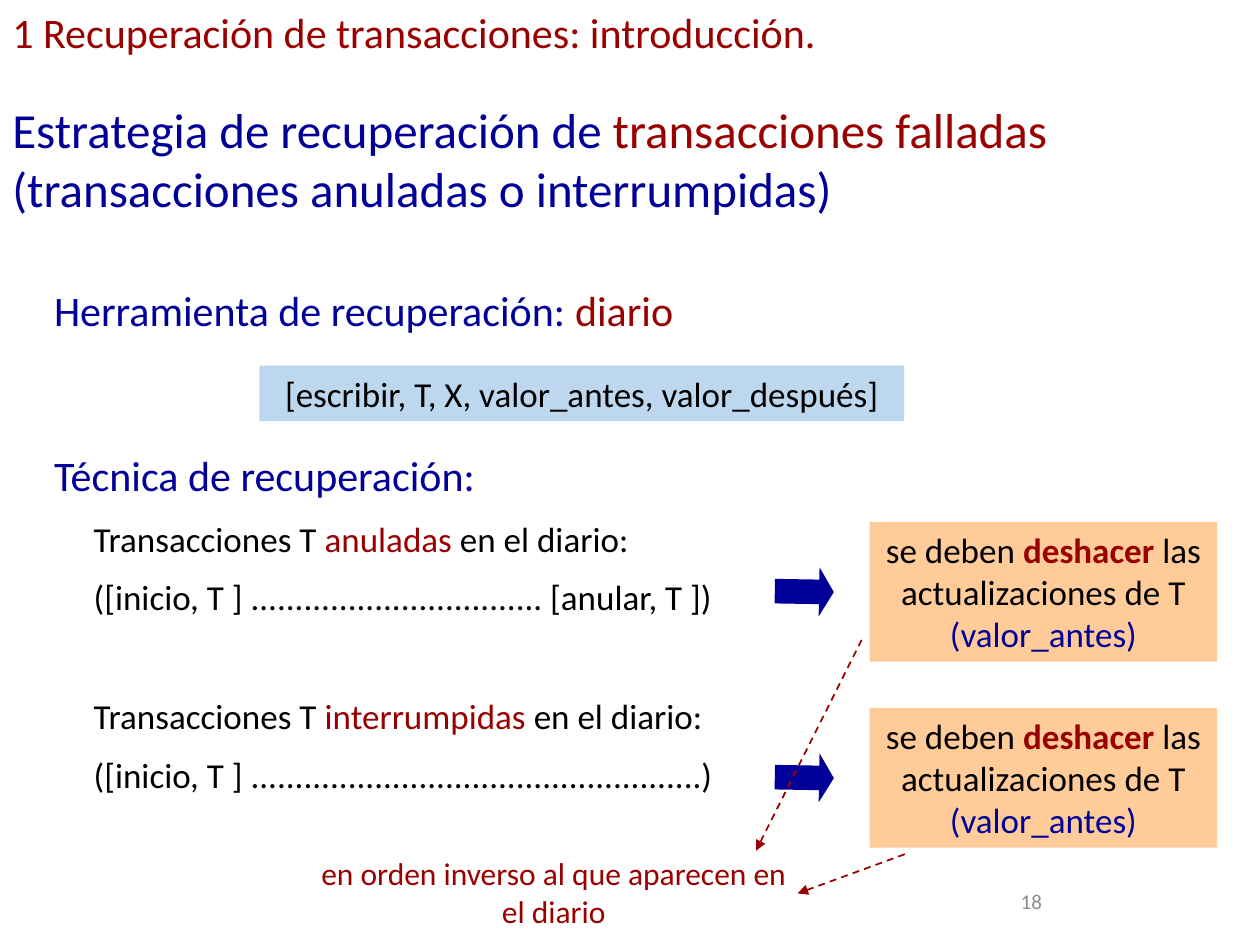
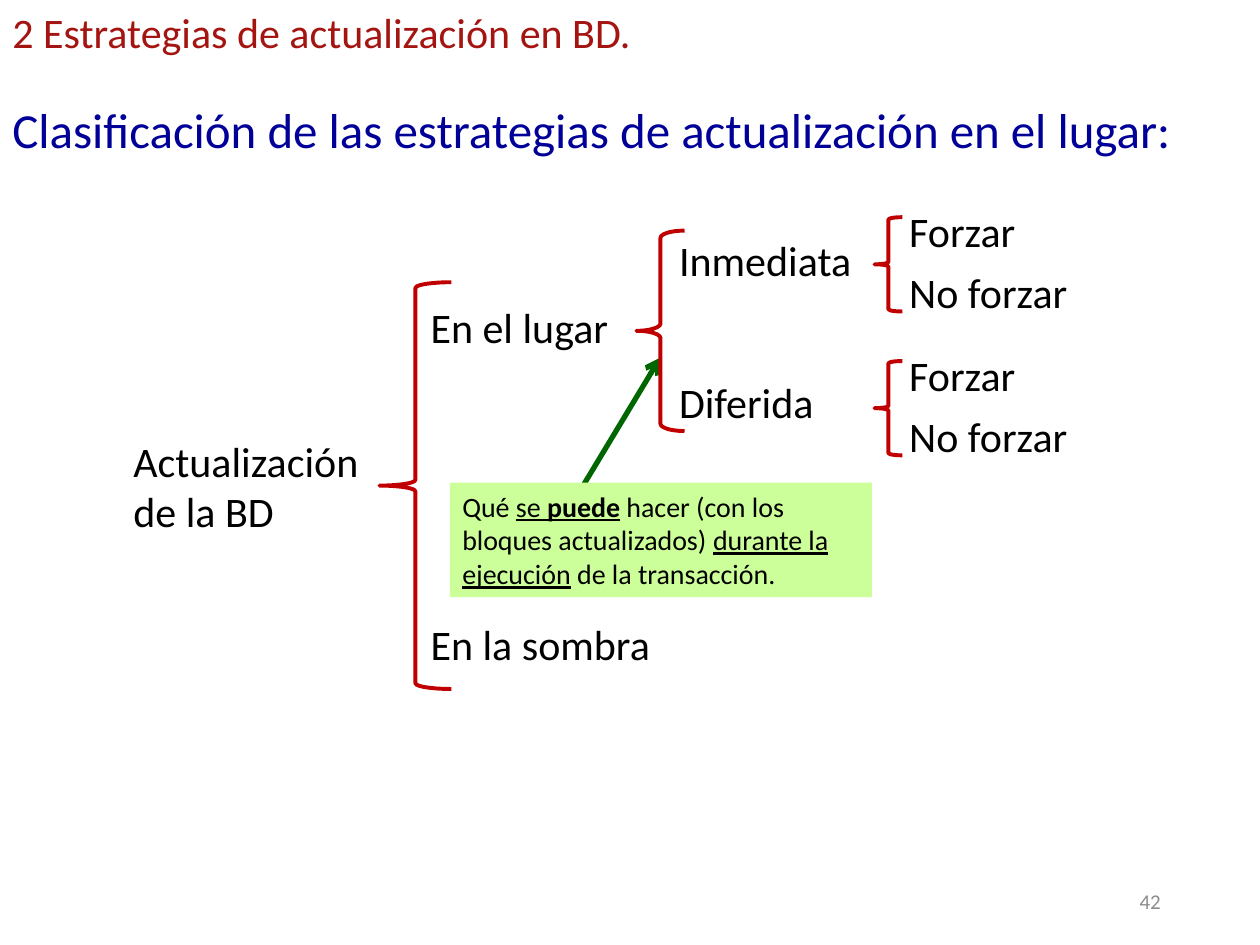
"""Build two slides on transaction recovery and database update strategies."""
from typing import NamedTuple, Optional

from lxml.etree import SubElement
from pptx import Presentation
from pptx.dml.color import RGBColor
from pptx.enum.dml import MSO_LINE_DASH_STYLE as Dash
from pptx.enum.shapes import MSO_CONNECTOR as Connector, MSO_SHAPE as Preset
from pptx.enum.text import MSO_ANCHOR as Anchor, PP_ALIGN as Align
from pptx.oxml.ns import qn
from pptx.slide import Slide
from pptx.util import Cm, Pt

FONT = "Calibri"
BLACK = RGBColor(0x00, 0x00, 0x00)
NAVY = RGBColor(0x00, 0x00, 0x99)
MAROON = RGBColor(0x99, 0x00, 0x00)
BRICK = RGBColor(0xA4, 0x15, 0x12)
BRACE_RED = RGBColor(0xC0, 0x00, 0x00)
GREEN = RGBColor(0x00, 0x66, 0x00)
GRAY = RGBColor(0x8C, 0x8C, 0x8C)
PALE_BLUE = RGBColor(0xBD, 0xD7, 0xEE)
PEACH = RGBColor(0xFF, 0xCC, 0x99)
LIME = RGBColor(0xCC, 0xFF, 0x99)

LINE_GAP = 9.6
BLOCK_GAP = 43.6


class Box(NamedTuple):
    """Position and size in centimetres."""
    left: float
    top: float
    width: float
    height: float

    def lengths(self) -> list[Cm]:
        """Return the four values as lengths."""
        return [Cm(value) for value in self]


class Span(NamedTuple):
    """A stretch of text with one look."""
    text: str
    color: RGBColor = BLACK
    bold: bool = False
    underline: bool = False


class Line(NamedTuple):
    """A paragraph with its size in points and indent in centimetres."""
    spans: list[Span]
    size: float = 24
    before: float = 0
    indent: float = 0
    align: Align = Align.LEFT


class Arrow(NamedTuple):
    """A straight arrow between two points in centimetres."""
    start: tuple[float, float]
    end: tuple[float, float]
    color: RGBColor
    weight: float
    head: str
    dash: Optional[Dash] = None


class Brace(NamedTuple):
    """A left brace and the share of its curl."""
    box: Box
    curl: float = 0.08


def add_text(slide: Slide, box: Box, lines: list[Line], fill: Optional[RGBColor] = None,
             side_inset: float = 0.25, anchor: Anchor = Anchor.TOP) -> None:
    """Write lines in a box, on a filled rectangle when a fill is given."""
    if fill is None:
        holder = slide.shapes.add_textbox(*box.lengths())
    else:
        holder = slide.shapes.add_shape(Preset.RECTANGLE, *box.lengths())
        holder.shadow.inherit = False
        holder.fill.solid()
        holder.fill.fore_color.rgb = fill
        holder.line.fill.background()
    frame = holder.text_frame
    frame.word_wrap = True
    frame.vertical_anchor = anchor
    frame.margin_left = frame.margin_right = Cm(side_inset)
    frame.margin_top = frame.margin_bottom = Cm(0.13)
    for index, line in enumerate(lines):
        paragraph = frame.add_paragraph() if index else frame.paragraphs[0]
        paragraph.alignment = line.align
        if line.before:
            paragraph.space_before = Pt(line.before)
        if line.indent:
            paragraph._p.get_or_add_pPr().set("marL", str(Cm(line.indent)))
        for span in line.spans:
            run = paragraph.add_run()
            run.text = span.text
            run.font.name = FONT
            run.font.size = Pt(line.size)
            run.font.color.rgb = span.color
            run.font.bold = span.bold
            run.font.underline = span.underline


def add_arrow(slide: Slide, arrow: Arrow) -> None:
    """Draw an arrow with its head at the end point."""
    points = [Cm(value) for value in arrow.start + arrow.end]
    connector = slide.shapes.add_connector(Connector.STRAIGHT, *points)
    connector.line.color.rgb = arrow.color
    connector.line.width = Pt(arrow.weight)
    if arrow.dash is not None:
        connector.line.dash_style = arrow.dash
    SubElement(connector.line._get_or_add_ln(), qn("a:tailEnd"), type=arrow.head)
    SubElement(connector._element.spPr, qn("a:effectLst"))


def add_brace(slide: Slide, brace: Brace) -> None:
    """Draw an unfilled left brace."""
    shape = slide.shapes.add_shape(Preset.LEFT_BRACE, *brace.box.lengths())
    shape.shadow.inherit = False
    shape.fill.background()
    shape.line.color.rgb = BRACE_RED
    shape.line.width = Pt(2.25)
    shape.adjustments[0] = brace.curl


def add_block_arrow(slide: Slide, box: Box) -> None:
    """Draw a block arrow turned to point right."""
    shape = slide.shapes.add_shape(Preset.DOWN_ARROW, *box.lengths())
    shape.shadow.inherit = False
    shape.rotation = 271
    shape.adjustments[0] = 0.5
    shape.adjustments[1] = 0.3
    shape.fill.solid()
    shape.fill.fore_color.rgb = NAVY
    shape.line.fill.background()


def start_slide(deck: Presentation, section: Span, heading: list[Span], heading_height: float,
                number: str, number_align: Align) -> Slide:
    """Add a blank slide with its section title, heading and number."""
    slide = deck.slides.add_slide(deck.slide_layouts[6])
    add_text(slide, Box(17.93, 17.65, 5.72, 1.02),
             [Line([Span(number, GRAY)], 12, align=number_align)], anchor=Anchor.MIDDLE)
    add_text(slide, Box(0, 0, 17.5, 1.27), [Line([section])])
    add_text(slide, Box(0, 1.88, 25.4, heading_height), [Line(heading, 28)])
    return slide


def journal_lines(kind: str, entries: str, before: float) -> list[Line]:
    """Describe one kind of transaction and its journal entries."""
    described = [Span("Transacciones T "), Span(kind, MAROON), Span(" en el diario:")]
    return [Line(described, 20, before, 0.8), Line([Span(entries)], 20, LINE_GAP, 0.8)]


def build_recovery(deck: Presentation) -> None:
    """Build the slide on recovering failed transactions."""
    slide = start_slide(
        deck, Span("1 Recuperación de transacciones: introducción.", MAROON),
        [Span("Estrategia de recuperación de ", NAVY), Span("transacciones falladas ", MAROON),
         Span("(transacciones anuladas o interrumpidas)", NAVY)], 2.64, "18", Align.CENTER)
    add_text(slide, Box(1.09, 5.61, 20.32, 1.27),
             [Line([Span("Herramienta de recuperación: ", NAVY), Span("diario", MAROON)])],
             side_inset=0)
    add_text(slide, Box(5.23, 7.37, 13, 1.12),
             [Line([Span("[escribir, T, X, valor_antes, valor_después]")], 20,
                   align=Align.CENTER)], PALE_BLUE)
    technique = [
        Line([Span("Técnica de recuperación:", NAVY)]),
        *journal_lines("anuladas",
                       "([inicio, T ] ................................. [anular, T ])", LINE_GAP),
        *journal_lines("interrumpidas",
                       "([inicio, T ] ...................................................)",
                       BLOCK_GAP),
    ]
    add_text(slide, Box(1.09, 8.94, 15.06, 7.7), technique, side_inset=0)

    undo = Line([Span("se deben "), Span("deshacer", MAROON, bold=True),
                 Span(" las actualizaciones de T "), Span("(valor_antes)", NAVY)],
                20, align=Align.CENTER)
    for top in (10.52, 14.27):
        add_text(slide, Box(17.53, top, 7.01, 2.82), [undo], PEACH, side_inset=0)
        add_block_arrow(slide, Box(15.72, top + 0.81, 0.99, 1.19))

    add_text(slide, Box(6.25, 17.09, 9.83, 1.8),
             [Line([Span("en orden inverso al que aparecen en el diario", MAROON)], 18,
                   align=Align.CENTER)], side_inset=0)
    for start, end in (((18.24, 17.22), (16.08, 18.01)), ((17.37, 12.9), (15.24, 17.15))):
        add_arrow(slide, Arrow(start, end, MAROON, 1, "triangle", Dash.DASH))


def build_strategies(deck: Presentation) -> None:
    """Build the slide that classifies update strategies."""
    slide = start_slide(
        deck, Span("2 Estrategias de actualización en BD.", BRICK),
        [Span("Clasificación de las estrategias de actualización en el lugar:", NAVY)],
        1.45, "42", Align.RIGHT)
    add_arrow(slide, Arrow((11.61, 10.03), (13.31, 7.21), GREEN, 3, "arrow"))
    note = [Span("Qué "), Span("se ", underline=True), Span("puede", bold=True, underline=True),
            Span(" hacer (con los bloques actualizados) "),
            Span("durante la ejecución", underline=True), Span(" de la transacción.")]
    add_text(slide, Box(9.07, 9.73, 8.51, 2.31), [Line(note, 16)], LIME)

    labels = {
        "Actualización de la BD": Box(2.44, 8.64, 5.79, 2.31),
        "En el lugar": Box(8.43, 5.94, 4.14, 1.3),
        "En la sombra": Box(8.43, 12.34, 6.27, 1.3),
        "Inmediata": Box(13.44, 4.6, 4.14, 1.3),
        "Diferida": Box(13.44, 7.47, 4.14, 1.3),
    }
    for label, box in labels.items():
        add_text(slide, box, [Line([Span(label)])])

    braces = [Brace(Box(7.65, 5.69, 1.45, 8.2)), Brace(Box(12.83, 4.65, 0.97, 4.04), 0.15)]
    for top in (4.01, 6.91):
        add_text(slide, Box(18.08, top, 3.07, 1.24), [Line([Span("Forzar")])])
        add_text(slide, Box(18.08, top + 1.24, 3.84, 1.24), [Line([Span("No forzar")])])
        braces.append(Brace(Box(17.63, top + 0.37, 0.56, 1.9)))
    for brace in braces:
        add_brace(slide, brace)


def main() -> None:
    """Build and save the deck."""
    deck = Presentation()
    deck.slide_width, deck.slide_height = Cm(25.4), Cm(19.05)
    build_recovery(deck)
    build_strategies(deck)
    deck.save("out.pptx")


if __name__ == "__main__":
    main()
